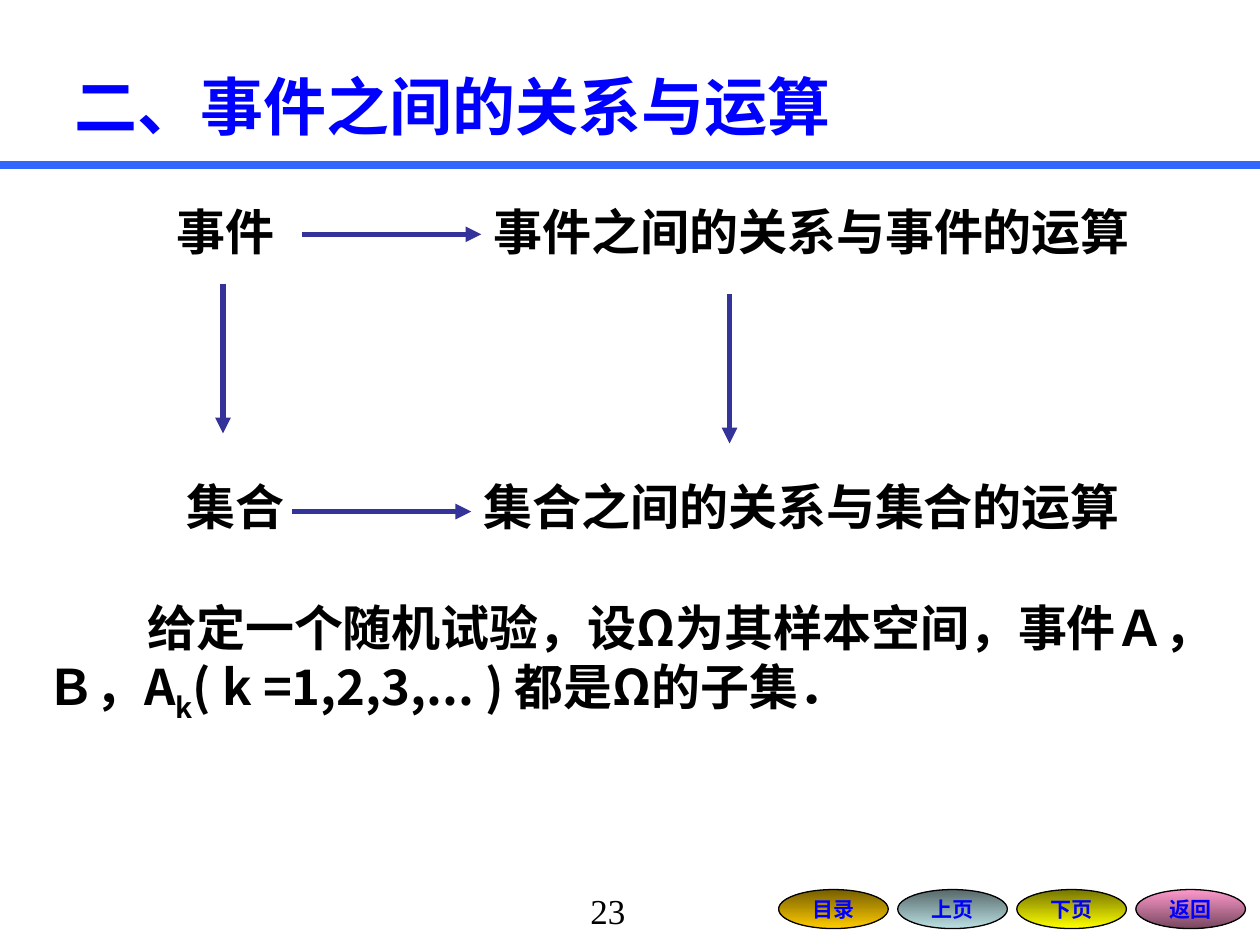
from lxml.etree import SubElement
from pptx import Presentation
from pptx.dml.color import RGBColor
from pptx.enum.shapes import MSO_CONNECTOR as Link, MSO_SHAPE as Kind
from pptx.enum.text import MSO_ANCHOR as Anchor, MSO_AUTO_SIZE as Fit, PP_ALIGN as Align
from pptx.oxml.ns import qn
from pptx.util import Inches, Pt

WIDE, HIGH = 10, 7.5
ROMAN, SANS = "Times New Roman", "Noto Sans CJK SC"
BLUE, NAVY, RULE, BLACK = "0000FF", "333399", "3366FF", "000000"

TITLE = "二、事件之间的关系与运算"
PAGE = "23"
# Text, left, top, width
TERMS = [
    ("事件", 1.3, 1.55, 1.42),
    ("事件之间的关系与事件的运算", 3.82, 1.55, 5.67),
    ("集合", 1.38, 3.73, 1.65),
    ("集合之间的关系与集合的运算", 3.74, 3.73, 5.83),
]
# Start x, start y, run across, run down
ACROSS, DOWN = (1.42, 0), (0, 1.19)
ARROWS = [
    (1.77, 2.25, *DOWN),
    (5.79, 2.33, *DOWN),
    (2.4, 1.86, *ACROSS),
    (2.32, 4.06, *ACROSS),
]
# Text and whether it is a subscript
BODY = [
    ("给定一个随机试验，设Ω为其样本空间，事件Ａ，Ｂ，A", False),
    ("k", True),
    ("( k =1,2,3,... ) 都是Ω的子集．", False),
]
# Label, top colour, bottom colour
BUTTONS = [
    ("目录", "765E00", "FFCC00"),
    ("上页", "576869", "BBE0E3"),
    ("下页", "767600", "FFFF00"),
    ("返回", "FF99CC", "76475E"),
]
FIRST, STEP = 6.18, 0.945


def paint(text):
    return RGBColor.from_string(text)


def write(shape, runs, size=28, font=ROMAN, color=BLACK, bold=True, align=Align.LEFT,
          anchor=Anchor.TOP, wrap=True, indent=0, space=None):
    """Fill a shape with one paragraph; runs is a string or (text, is_sub) pairs."""
    frame = shape.text_frame
    frame.word_wrap, frame.auto_size = wrap, Fit.NONE
    frame.vertical_anchor = anchor
    para = frame.paragraphs[0]
    para.alignment, para.line_spacing = align, space
    if indent:
        para._p.get_or_add_pPr().set("indent", str(Inches(indent)))
    for text, sub in [(runs, False)] if isinstance(runs, str) else runs:
        run = para.add_run()
        run.text = text
        face = run.font
        face.size, face.bold, face.name = Pt(size), bold, font
        face.color.rgb = paint(color)
        props = face._element
        SubElement(props, qn("a:ea")).set("typeface", SANS)
        if sub:
            props.set("baseline", "-25000")


def box(slide, place, runs, **style):
    write(slide.shapes.add_textbox(*map(Inches, place)), runs, **style)


def line(slide, x, y, dx, dy, color=NAVY, width=3, head=True):
    link = slide.shapes.add_connector(Link.STRAIGHT, *map(Inches, (x, y, x + dx, y + dy)))
    link.line.color.rgb, link.line.width = paint(color), Pt(width)
    if head:
        SubElement(link.line._get_or_add_ln(), qn("a:tailEnd")).set("type", "triangle")
    SubElement(link._element.spPr, qn("a:effectLst"))


def button(slide, left, label, top, low):
    oval = slide.shapes.add_shape(Kind.OVAL, *map(Inches, (left, 7.06, 0.87, 0.31)))
    oval.shadow.inherit = False
    oval.fill.gradient()
    oval.fill.gradient_angle = 270
    for stop, color in zip(oval.fill.gradient_stops, (top, low)):
        stop.color.rgb = paint(color)
    oval.line.color.rgb, oval.line.width = paint(BLACK), Pt(0.75)
    write(oval, label, size=12, color=BLUE, align=Align.CENTER, anchor=Anchor.MIDDLE, wrap=False)


def main():
    deck = Presentation()
    deck.slide_width, deck.slide_height = Inches(WIDE), Inches(HIGH)
    slide = deck.slides.add_slide(deck.slide_layouts[5])

    title = slide.shapes.title
    title.left, title.top, title.width, title.height = map(Inches, (0.49, 0.6, 9, 0.58))
    write(title, TITLE, size=36, color=BLUE, anchor=Anchor.MIDDLE, space=0.8)
    line(slide, 0, 1.31, WIDE, 0, color=RULE, width=4.5, head=False)

    for text, left, top, width in TERMS:
        box(slide, (left, top, width, 0.57), text)
    for arrow in ARROWS:
        line(slide, *arrow)
    box(slide, (0.27, 4.66, 9.29, 1.17), BODY, font=SANS, anchor=Anchor.MIDDLE, indent=0.8)

    box(slide, (3.66, 7.01, 2.33, 0.52), PAGE, size=20, bold=False, align=Align.CENTER)
    for i, item in enumerate(BUTTONS):
        button(slide, FIRST + i * STEP, *item)
    deck.save("out.pptx")


if __name__ == "__main__":
    main()
